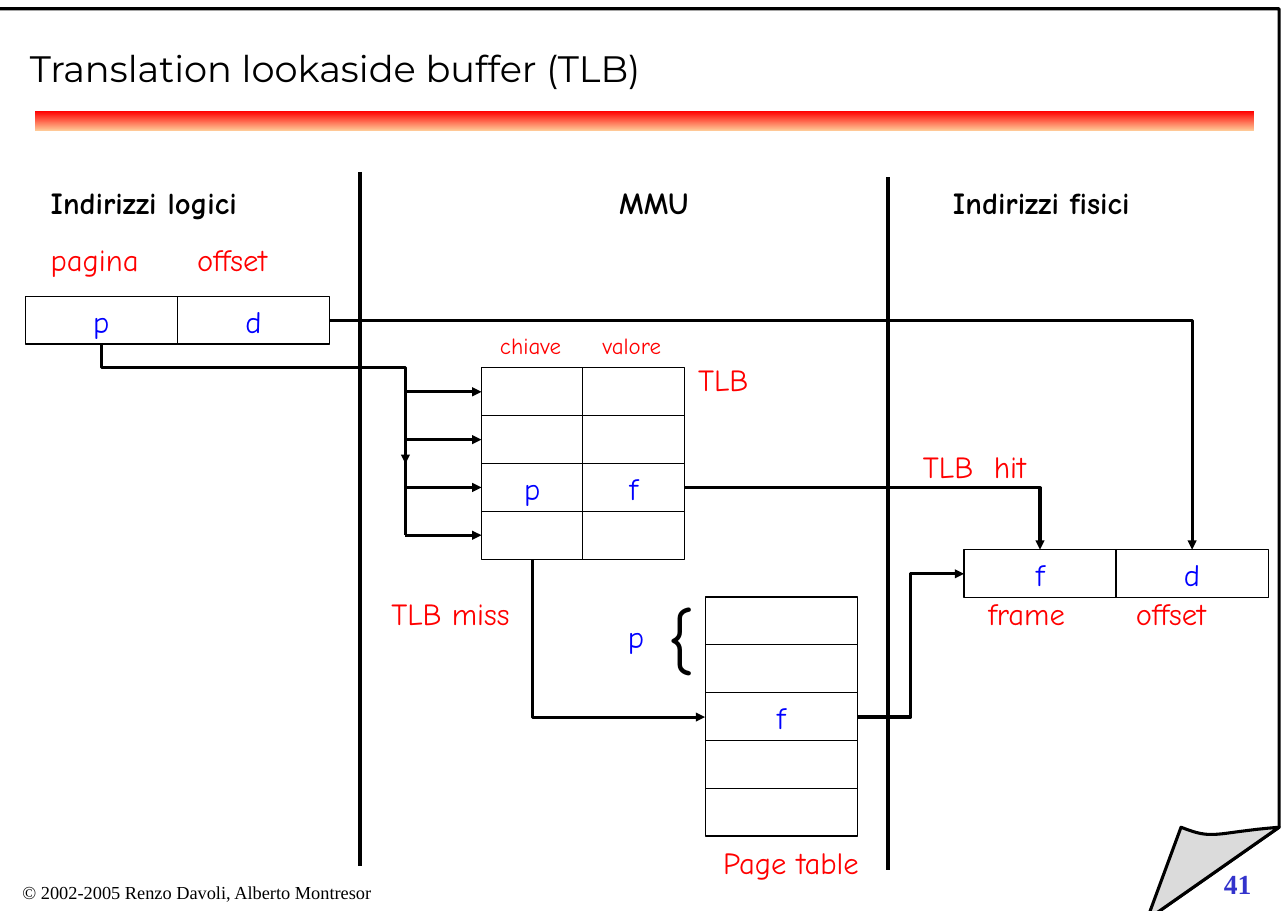
from lxml import etree
from pptx import Presentation
from pptx import util as u
from pptx.dml.color import RGBColor
from pptx.enum import shapes, text
from pptx.oxml.ns import qn

BLACK, WHITE, RED, BLUE = "000000", "FFFFFF", "FF0000", "0000FF"
LEFT, CENTER = text.PP_ALIGN.LEFT, text.PP_ALIGN.CENTER
TOP, MIDDLE = text.MSO_ANCHOR.TOP, text.MSO_ANCHOR.MIDDLE
ROW = 0.434
HALF = ROW / 2


def color(value):
    return RGBColor.from_string(value)


def set_all(target, values):
    for name, value in values.items():
        setattr(target, name, value)


class Diagram:
    font = "Comic Neue"
    size = 20
    hairline = 0

    def __init__(self, slide):
        self.slide = slide

    def set_text(self, shape, words, ink=RED, size=None, font=None, bold=False,
                 align=LEFT, anchor=TOP, inset=(0, 0), spacing=1.05):
        frame = shape.text_frame
        side, edge = (u.Inches(value) for value in inset)
        set_all(frame, {"word_wrap": True, "auto_size": text.MSO_AUTO_SIZE.NONE,
                        "vertical_anchor": anchor, "margin_left": side,
                        "margin_right": side, "margin_top": edge,
                        "margin_bottom": edge})
        paragraph = frame.paragraphs[0]
        set_all(paragraph, {"text": words, "alignment": align,
                            "line_spacing": spacing})
        run_font = paragraph.runs[0].font
        set_all(run_font, {"name": font or self.font, "bold": bold,
                           "size": u.Pt(size or self.size)})
        run_font.color.rgb = color(ink)

    def title(self, words, left, top, width, height):
        title = self.slide.shapes.title
        set_all(title, {"left": u.Inches(left), "top": u.Inches(top),
                        "width": u.Inches(width), "height": u.Inches(height)})
        self.set_text(title, words, BLACK, 24, "Montserrat", anchor=MIDDLE,
                      spacing=0.85)
        title.element.getparent().append(title.element)

    def label(self, words, left, top, width, height=0.43, **style):
        box = self.slide.shapes.add_textbox(*map(u.Inches, (left, top, width, height)))
        self.set_text(box, words, **style)

    def rectangle(self, left, top, width, height):
        shape = self.slide.shapes.add_shape(
            shapes.MSO_SHAPE.RECTANGLE, *map(u.Inches, (left, top, width, height)))
        shape.shadow.inherit = False
        return shape

    def cell(self, words, left, top, width):
        shape = self.rectangle(left, top, width, ROW)
        shape.fill.background()
        shape.line.color.rgb = color(BLACK)
        shape.line.width = u.Pt(self.hairline)
        if words:
            self.set_text(shape, words, BLUE, align=CENTER, anchor=MIDDLE)

    def grid(self, rows, left, top, width):
        for row, words in enumerate(rows):
            for column, word in enumerate(words):
                self.cell(word, left + column * width, top + row * ROW, width)

    def gradient_bar(self, left, top, width, height, bottom, upper):
        bar = self.rectangle(left, top, width, height)
        bar.line.fill.background()
        bar.fill.gradient()
        bar.fill.gradient_angle = 90
        for stop, position, shade in zip(bar.fill.gradient_stops, (0, 1), (bottom, upper)):
            stop.position = position
            stop.color.rgb = color(shade)

    def outline(self, points, fill):
        builder = self.slide.shapes.build_freeform(
            *(u.Inches(value) for value in points[0]), scale=1.0)
        builder.add_line_segments(
            [(u.Inches(x), u.Inches(y)) for x, y in points[1:]], close=True)
        shape = builder.convert_to_shape()
        shape.shadow.inherit = False
        shape.fill.solid()
        shape.fill.fore_color.rgb = color(fill)
        shape.line.color.rgb = color(BLACK)
        shape.line.width = u.Pt(2)

    def line(self, start, end, width=None, arrow=True, bend=None, adjust=None,
             vertical=False):
        (x1, y1), (x2, y2) = start, end
        if vertical:
            middle_x, middle_y = (x1 + x2) / 2, (y1 + y2) / 2
            (x1, y1), (x2, y2) = [(middle_x - y + middle_y, middle_y + x - middle_x)
                                  for x, y in (start, end)]
        kind = shapes.MSO_CONNECTOR.ELBOW if bend else shapes.MSO_CONNECTOR.STRAIGHT
        connector = self.slide.shapes.add_connector(kind, *map(u.Inches, (x1, y1, x2, y2)))
        connector.line.color.rgb = color(BLACK)
        connector.line.width = u.Pt(self.hairline if width is None else width)
        properties = connector.element.spPr
        if vertical:
            properties.find(qn("a:xfrm")).set("rot", "16200000")
        if bend:
            geometry = properties.find(qn("a:prstGeom"))
            geometry.set("prst", bend)
            if adjust:
                etree.SubElement(geometry.find(qn("a:avLst")), qn("a:gd"),
                                 name="adj1", fmla=f"val {adjust}")
        if arrow:
            etree.SubElement(properties.find(qn("a:ln")), qn("a:tailEnd"), type="triangle")
        etree.SubElement(properties, qn("a:effectLst"))


def curve(start, first, second, end, steps=16):
    def point(t):
        weights = ((1 - t) ** 3, 3 * t * (1 - t) ** 2, 3 * t ** 2 * (1 - t), t ** 3)
        return tuple(sum(weight * value for weight, value in zip(weights, axis))
                     for axis in zip(start, first, second, end))
    return [point(step / steps) for step in range(steps + 1)]


def main():
    presentation = Presentation()
    presentation.slide_width = u.Inches(11.69)
    presentation.slide_height = u.Inches(8.27)
    slide = presentation.slides.add_slide(presentation.slide_layouts[5])
    diagram = Diagram(slide)

    fold, corner = (10.41, 8.35), (11.61, 7.51)
    diagram.outline([(-0.08, 0.08), (11.61, 0.08), corner, fold, (-0.08, 8.35)], WHITE)
    diagram.outline([fold] + curve((10.72, 7.51), (11.02, 7.63), (11.01, 7.56), corner),
                    "DBDBDB")
    diagram.label("41", 11.01, 7.81, 0.68, 0.44, ink="3333CC", size=18,
                  font="Times New Roman", bold=True, inset=(0.1, 0.05))
    diagram.gradient_bar(0.32, 1.01, 11.06, 0.18, "FFCC99", RED)
    diagram.label("© 2002-2005 Renzo Davoli, Alberto Montresor", 0.04, 7.94, 3.5, 0.33,
                  ink=BLACK, size=12, font="Times New Roman", align=CENTER,
                  inset=(0.1, 0.05))
    diagram.title("Translation lookaside buffer (TLB)", 0.27, 0.33, 11.15, 0.63)

    for words, left, width in (("Indirizzi logici", 0.46, 2.25), ("MMU", 5.62, 0.81),
                               ("Indirizzi fisici", 8.65, 2.23)):
        diagram.label(words, left, 1.65, width, ink=BLACK, bold=True)
    for x, top, bottom in ((3.27, 1.56, 7.86), (8.06, 1.61, 7.9)):
        diagram.line((x, top), (x, bottom), width=2.83, arrow=False)

    diagram.grid(["pd"], 0.23, 2.69, 1.38)
    diagram.grid(["fd"], 8.75, 4.99, 1.38)
    diagram.grid([("",), ("",), ("f",), ("",), ("",)], 6.4, 5.42, 1.38)
    diagram.grid([("", ""), ("", ""), ("p", "f"), ("", "")], 4.37, 3.34, 0.92)

    for words, left, top, width in (("pagina", 0.46, 2.17, 0.95),
                                    ("offset", 1.79, 2.17, 0.99),
                                    ("frame", 8.97, 5.38, 0.92),
                                    ("offset", 10.31, 5.38, 0.99)):
        diagram.label(words, left, top, width)
    for words, left, top, width, size in (("Page table", 6.4, 7.64, 1.56, 20),
                                          ("TLB", 6.26, 3.26, 0.61, 20),
                                          ("TLB  hit", 8.23, 4.05, 1.23, 20),
                                          ("TLB miss", 3.41, 5.38, 1.36, 20),
                                          ("chiave", 4.46, 3, 0.71, 15),
                                          ("valore", 5.39, 3, 0.69, 15)):
        diagram.label(words, left, top, width, size=size, align=CENTER)
    diagram.label("{", 6.06, 5.25, 0.43, 1.03, ink=BLACK, size=48, anchor=MIDDLE)
    diagram.label("p", 5.7, 5.59, 0.17, ink=BLUE)

    search_x, tlb_left, first_row = 3.68, 4.37, 3.34 + HALF
    diagram.line((search_x, first_row), (search_x, first_row + 3 * ROW), arrow=False)
    for row in range(4):
        y = first_row + row * ROW
        diagram.line((search_x, y), (tlb_left, y))

    corner_bend, double_bend = "bentConnector2", "bentConnector3"
    diagram.line((2.99, 2.91), (10.82, 4.99), bend=corner_bend)
    diagram.line((6.21, 4.43), (9.44, 4.99), bend=corner_bend)
    diagram.line((4.83, 5.08), (6.4, 6.51), bend=corner_bend, vertical=True)
    diagram.line((7.78, 6.51), (8.75, 5.21), bend=double_bend)
    diagram.line((0.92, 3.12), (search_x, 4.21), bend=double_bend, adjust=20000,
                 vertical=True)

    presentation.save("out.pptx")


if __name__ == "__main__":
    main()
